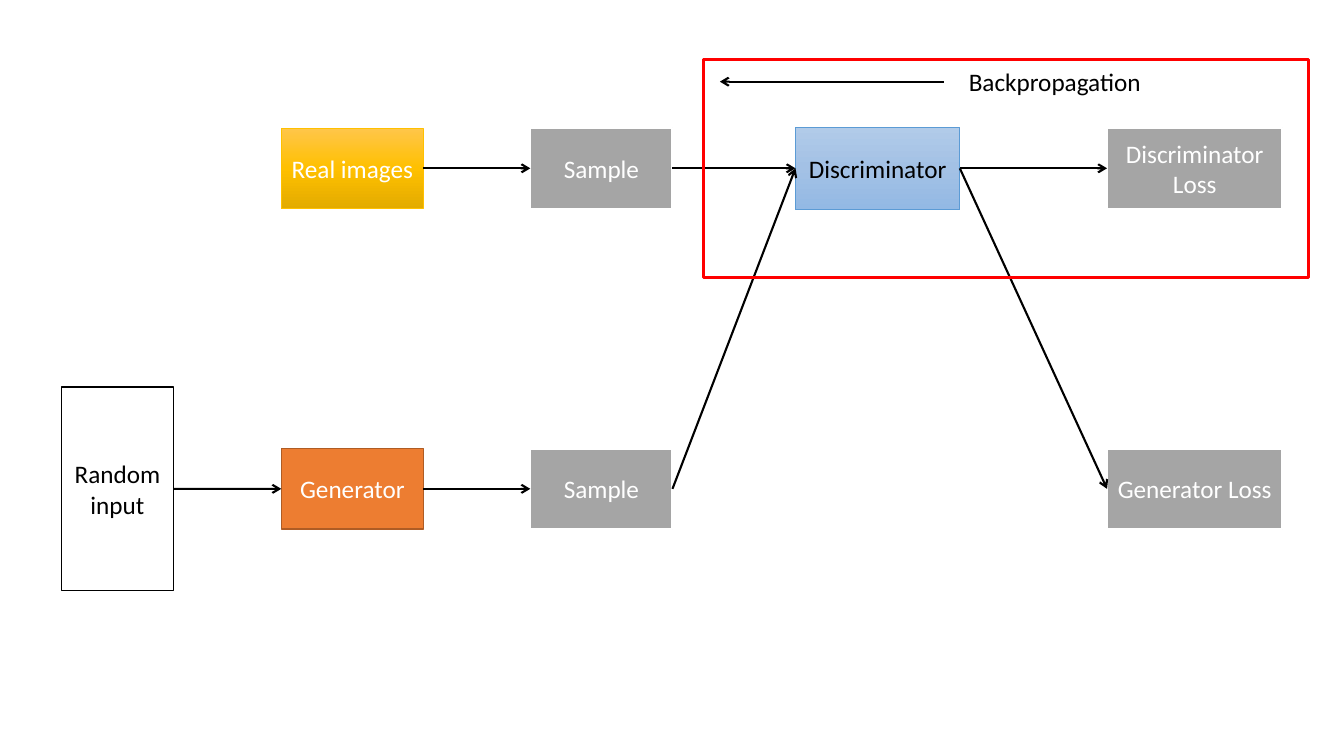
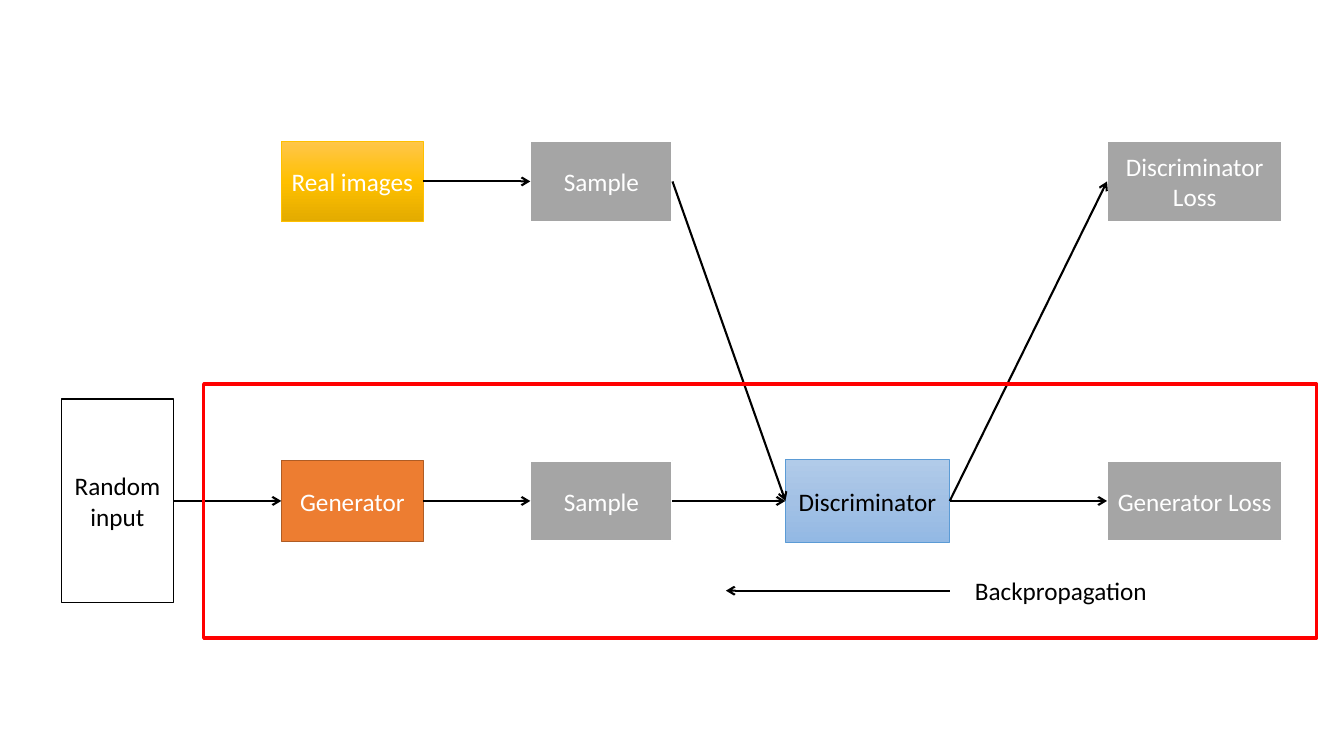
import pptx
import pptx.dml.color
import pptx.enum.shapes
import pptx.enum.text
import pptx.util
import copy
from pptx.oxml.ns import qn
from pptx.util import Inches

FONT = "Calibri"
BLACK, WHITE, RED = "000000", "FFFFFF", "FF0000"
BOX_HEIGHT = 0.8
TOP, BOTTOM = 0, 1
LEFT_SIDE, RIGHT_SIDE = 1, 3

# kind: fill (one colour, or three for a gradient), line colour, line width, text colour
STYLES = {
    "data": (("FFC64B", "FFC000", "E3AB00"), "FFC000", 0.5, WHITE),
    "discriminator": (("B1CBE9", "A3C1E5", "93B9E4"), "5B9BD5", 0.5, BLACK),
    "input": ((WHITE,), BLACK, 1, BLACK),
    "generator": (("ED7D31",), "AF5C24", 1, WHITE),
    "plain": (("A5A5A5",), WHITE, 1.5, WHITE),
}

# name: text, style, row, left, width, height
BOXES = {
    "real": ("Real images", "data", TOP, 2.79, 1.41, BOX_HEIGHT),
    "input": ("Random input", "input", BOTTOM, 0.61, 1.11, 2.02),
    "generator": ("Generator", "generator", BOTTOM, 2.79, 1.41, BOX_HEIGHT),
    "real sample": ("Sample", "plain", TOP, 5.26, 1.41, BOX_HEIGHT),
    "fake sample": ("Sample", "plain", BOTTOM, 5.26, 1.41, BOX_HEIGHT),
    "discriminator loss": ("Discriminator Loss", "plain", TOP, 10.98, 1.74, BOX_HEIGHT),
    "generator loss": ("Generator Loss", "plain", BOTTOM, 10.98, 1.74, BOX_HEIGHT),
}

ARROWS = [
    ("input", "generator"),
    ("generator", "fake sample"),
    ("real", "real sample"),
    ("real sample", "discriminator"),
    ("fake sample", "discriminator"),
    ("discriminator", "discriminator loss"),
    ("discriminator", "generator loss"),
]

# rows: centre heights; back: right end and height of the backpropagation arrow
SLIDES = [
    {"rows": (1.67, 4.85), "discriminator": (TOP, 7.89),
     "frame": (6.98, 0.59, 6, 2.16), "back": (9.36, 0.81)},
    {"rows": (1.8, 4.97), "discriminator": (BOTTOM, 7.79),
     "frame": (2.02, 3.81, 11.04, 2.52), "back": (9.42, 5.86)},
]


def color(value):
    return pptx.dml.color.RGBColor.from_string(value)


def set_line(item, value, width):
    item.line.color.rgb = color(value)
    item.line.width = pptx.util.Pt(width)


def set_fill(shape, colors):
    """Fill with one colour, or with an evenly spaced gradient from top to bottom."""
    if len(colors) == 1:
        shape.fill.solid()
        shape.fill.fore_color.rgb = color(colors[0])
        return
    shape.fill.gradient()
    shape.fill.gradient_angle = 270
    stops = shape._element.spPr.find(qn("a:gradFill")).find(qn("a:gsLst"))
    while len(stops) < len(colors):
        stops.append(copy.deepcopy(stops[-1]))
    for index, (stop, value) in enumerate(zip(shape.fill.gradient_stops, colors)):
        stop.color.rgb = color(value)
        stop.position = index / (len(colors) - 1)


def write_text(shape, text, *, text_color=BLACK, size=18, centered=True, wrap=True):
    frame = shape.text_frame
    frame.word_wrap = wrap
    if centered:
        frame.margin_left = frame.margin_right = Inches(0.05)
        frame.vertical_anchor = pptx.enum.text.MSO_ANCHOR.MIDDLE
    paragraph = frame.paragraphs[0]
    alignment = pptx.enum.text.PP_ALIGN
    paragraph.alignment = alignment.CENTER if centered else alignment.LEFT
    run = paragraph.add_run()
    run.text = text
    run.font.name = FONT
    run.font.size = pptx.util.Pt(size)
    run.font.color.rgb = color(text_color)


def add_rectangle(slide, left, top, width, height):
    shape = slide.shapes.add_shape(
        pptx.enum.shapes.MSO_SHAPE.RECTANGLE,
        Inches(left), Inches(top), Inches(width), Inches(height))
    shape.shadow.inherit = False
    return shape


def add_box(slide, rows, text, style, row, left, width, height):
    fill, line, line_width, text_color = STYLES[style]
    shape = add_rectangle(slide, left, rows[row] - height / 2, width, height)
    set_fill(shape, fill)
    set_line(shape, line, line_width)
    write_text(shape, text, text_color=text_color)
    return shape


def add_arrow(slide, start=(0, 0), end=(0, 0)):
    arrow = slide.shapes.add_connector(
        pptx.enum.shapes.MSO_CONNECTOR.STRAIGHT,
        *(Inches(value) for value in (*start, *end)))
    set_line(arrow, BLACK, 1.5)
    properties = arrow._element.spPr
    head = properties.find(qn("a:ln")).makeelement(qn("a:tailEnd"), {"type": "arrow"})
    properties.find(qn("a:ln")).append(head)
    properties.append(properties.makeelement(qn("a:effectLst"), {}))
    return arrow


def add_backpropagation(slide, right, height):
    add_arrow(slide, (right, height), (right - 2.22, height))
    label = slide.shapes.add_textbox(
        Inches(right + 0.15), Inches(height - 0.2), Inches(1.91), Inches(0.4))
    write_text(label, "Backpropagation", centered=False, wrap=False)
    label.text_frame.auto_size = pptx.enum.text.MSO_AUTO_SIZE.SHAPE_TO_FIT_TEXT


def build_slide(presentation, layout):
    slide = presentation.slides.add_slide(presentation.slide_layouts[6])
    row, left = layout["discriminator"]
    boxes = {**BOXES, "discriminator":
             ("Discriminator", "discriminator", row, left, 1.63, 0.82)}
    shapes = {name: add_box(slide, layout["rows"], *box) for name, box in boxes.items()}
    for source, target in ARROWS:
        arrow = add_arrow(slide)
        arrow.begin_connect(shapes[source], RIGHT_SIDE)
        arrow.end_connect(shapes[target], LEFT_SIDE)
    frame = add_rectangle(slide, *layout["frame"])
    frame.fill.background()
    set_line(frame, RED, 2.25)
    add_backpropagation(slide, *layout["back"])


def main():
    presentation = pptx.Presentation()
    presentation.slide_width = Inches(13.33)
    presentation.slide_height = Inches(7.5)
    for layout in SLIDES:
        build_slide(presentation, layout)
    presentation.save("out.pptx")


if __name__ == "__main__":
    main()
